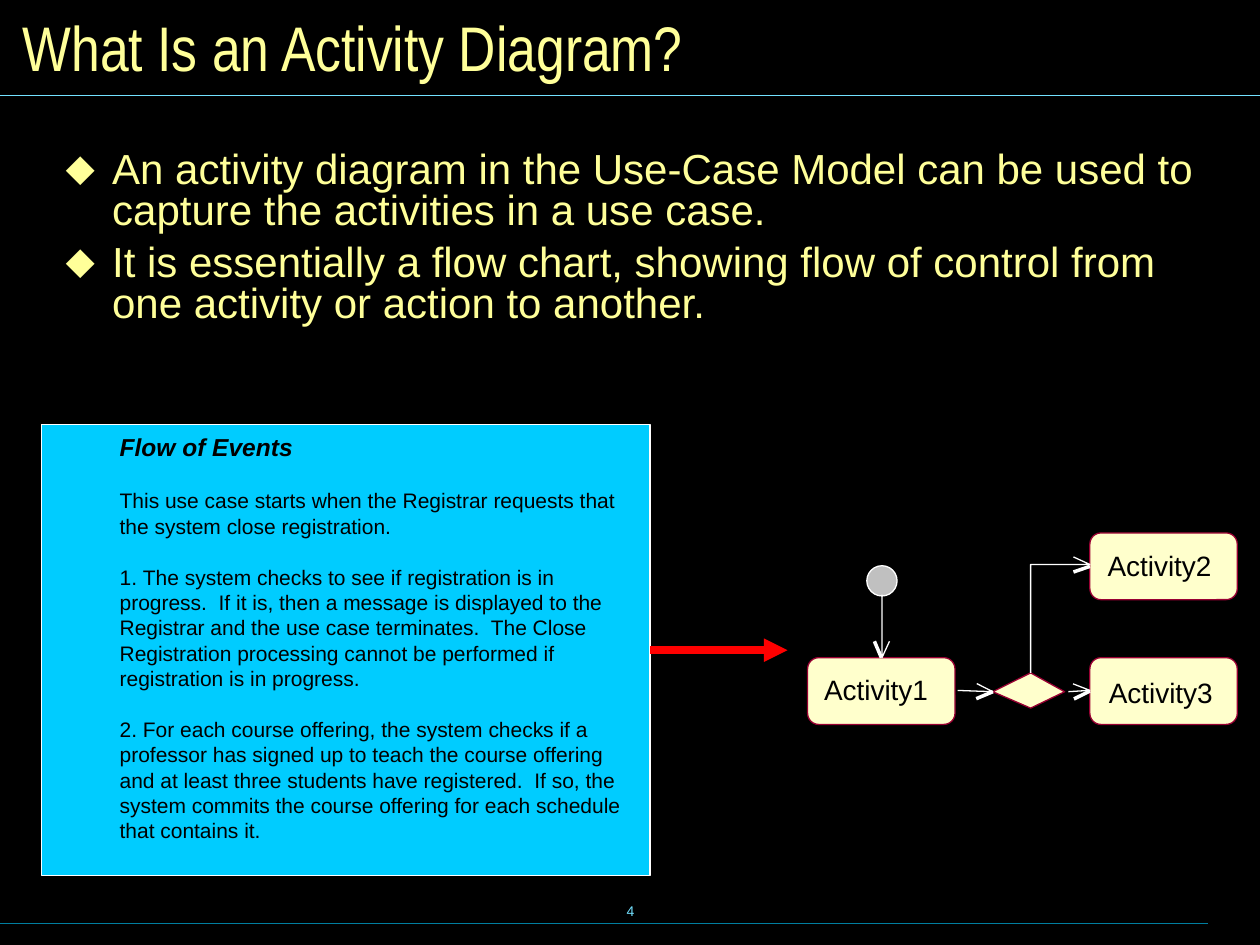
from math import hypot

from lxml import etree
from pptx import Presentation
from pptx.dml.color import RGBColor
from pptx.enum import shapes, text
from pptx.oxml import ns
from pptx.util import Inches, Pt

COLORS = {
    "background": "000000",
    "cream": "FFFF99",
    "rule": "73E1FF",
    "footer_rule": "007E9F",
    "panel": "00CCFF",
    "node": "FFFFCC",
    "node_edge": "990033",
    "start": "C0C0C0",
    "white": "FFFFFF",
    "ink": "000000",
    "red": "FF0000",
}

POINTS = [
    "An activity diagram in the Use-Case Model can be used to capture the activities in a use case.",
    "It is essentially a flow chart, showing flow of control from one activity or action to another.",
]

EVENTS = [
    "This use case starts when the Registrar requests that the system close registration.",
    "1.\u00a0The system checks to see if registration is in progress.  If it is, then a message is "
    "displayed to the Registrar and the use case terminates.  The Close Registration processing "
    "cannot be performed if registration is in progress.",
    "2. For each course offering, the system checks if a professor has signed up to teach the course "
    "offering and at least three students have registered.  If so, the system commits the course "
    "offering for each schedule that contains it.",
]


def color(key):
    return RGBColor.from_string(COLORS[key])


def place(shape, left, top, width, height):
    shape.left, shape.top = Inches(left), Inches(top)
    shape.width, shape.height = Inches(width), Inches(height)


def set_frame(frame, anchor, side=0.12, edge=0.06):
    frame.word_wrap = True
    frame.auto_size = text.MSO_AUTO_SIZE.NONE
    frame.vertical_anchor = anchor
    frame.margin_left = frame.margin_right = Inches(side)
    frame.margin_top = frame.margin_bottom = Inches(edge)


def add_run(paragraph, words, size, ink, font="Arial", **emphasis):
    run = paragraph.add_run()
    run.text = words
    run.font.name = font
    run.font.size = Pt(size)
    run.font.color.rgb = color(ink)
    for trait, value in emphasis.items():
        setattr(run.font, trait, value)


def paragraphs(frame, count):
    return [frame.paragraphs[0]] + [frame.add_paragraph() for _ in range(count - 1)]


def indent(paragraph, margin, first=0):
    properties = paragraph._p.get_or_add_pPr()
    properties.set("marL", str(Inches(margin)))
    properties.set("indent", str(Inches(first)))
    return properties


def add_child(parent, tag, **attributes):
    return etree.SubElement(parent, ns.qn(tag), attributes)


def style(shape, fill, edge, width=0):
    shape.shadow.inherit = False
    if fill:
        shape.fill.solid()
        shape.fill.fore_color.rgb = color(fill)
    else:
        shape.fill.background()
    shape.line.color.rgb = color(edge)
    shape.line.width = Pt(width)


def add_preset(slide, kind, box, fill, edge, width=0):
    shape = slide.shapes.add_shape(kind, *map(Inches, box))
    style(shape, fill, edge, width)
    return shape


def add_outline(slide, points, edge, fill=None, close=False):
    corners = [(Inches(x), Inches(y)) for x, y in points]
    builder = slide.shapes.build_freeform(*corners[0])
    builder.add_line_segments(corners[1:], close=close)
    style(builder.convert_to_shape(), fill, edge)


def add_line(slide, start, end, ink, width):
    line = slide.shapes.add_connector(
        shapes.MSO_CONNECTOR.STRAIGHT, *map(Inches, (*start, *end))
    )
    line.line.color.rgb = color(ink)
    line.line.width = Pt(width)
    add_child(line._element.spPr, "a:effectLst")
    return line


def add_flow(slide, route, target=None, side=None):
    (x0, y0), (x, y) = route[-2:]
    length = hypot(x - x0, y - y0)
    dx, dy = (x - x0) / length, (y - y0) / length
    barbs = [
        (x - 0.13 * dx + turn * dy, y - 0.13 * dy - turn * dx) for turn in (0.06, -0.06)
    ]
    add_outline(slide, route + barbs[:1], "white")
    barb = add_line(slide, (x, y), barbs[1], "white", 0)
    if target is not None:
        barb.begin_connect(target, side)


def add_label(slide, words, left, top):
    label = slide.shapes.add_textbox(*map(Inches, (left, top, 1.08, 0.39)))
    set_frame(label.text_frame, text.MSO_ANCHOR.TOP)
    add_run(label.text_frame.paragraphs[0], words, 16, "ink")


def add_activity(slide, left, top):
    return add_preset(
        slide, shapes.MSO_SHAPE.ROUNDED_RECTANGLE, (left, top, 1.17, 0.53), "node", "node_edge"
    )


def add_title(slide):
    title = slide.shapes.title
    place(title, 0.08, 0.08, 9.84, 0.58)
    set_frame(title.text_frame, text.MSO_ANCHOR.MIDDLE, 0.1, 0.05)
    heading = title.text_frame.paragraphs[0]
    heading.alignment = text.PP_ALIGN.LEFT
    add_run(heading, "What Is an Activity Diagram?", 36, "cream", "Arial Narrow")


def add_points(slide):
    body = slide.placeholders[1]
    place(body, 0.4, 1.15, 9.27, 5.52)
    set_frame(body.text_frame, text.MSO_ANCHOR.TOP)
    for paragraph, words in zip(paragraphs(body.text_frame, len(POINTS)), POINTS):
        paragraph.line_spacing = 0.8
        properties = indent(paragraph, 0.37, -0.37)
        add_child(add_child(properties, "a:spcBef"), "a:spcPct", val="30000")
        add_child(add_child(properties, "a:buClr"), "a:srgbClr", val=COLORS["cream"])
        add_child(properties, "a:buChar", char="⬥")
        add_run(paragraph, words, 24, "cream")


def add_events(slide):
    panel = add_preset(
        slide, shapes.MSO_SHAPE.RECTANGLE, (0.33, 3.37, 4.83, 3.58), "panel", "white", 0.75
    )
    set_frame(panel.text_frame, text.MSO_ANCHOR.TOP)
    heading, *steps = paragraphs(panel.text_frame, len(EVENTS) + 1)
    for paragraph in (heading, *steps):
        paragraph.alignment = text.PP_ALIGN.LEFT
        paragraph.level = 1
        paragraph.space_before, paragraph.space_after = Pt(12), Pt(3)
        indent(paragraph, 0.5)
    add_run(heading, "Flow of Events", 14, "ink", bold=True, italic=True)
    for paragraph, words in zip(steps, EVENTS):
        add_run(paragraph, words, 12, "ink")
    return panel


def add_diagram(slide):
    add_preset(slide, shapes.MSO_SHAPE.OVAL, (6.88, 4.49, 0.24, 0.24), "start", "white")
    first = add_activity(slide, 6.41, 5.22)
    third = add_activity(slide, 8.65, 5.22)
    second = add_activity(slide, 8.65, 4.23)
    decision = [(7.88, 5.49), (8.18, 5.34), (8.45, 5.49), (8.18, 5.62)]
    add_outline(slide, decision, "node_edge", "node", close=True)
    add_flow(slide, [(7, 4.72), (7, 5.22)], first, 0)
    add_flow(slide, [(7.6, 5.48), (7.88, 5.49)])
    add_flow(slide, [(8.48, 5.49), (8.65, 5.48)], third, 1)
    add_flow(slide, [(8.18, 5.34), (8.18, 4.48), (8.65, 4.48)], second, 1)
    add_label(slide, "Activity1", 6.42, 5.28)
    add_label(slide, "Activity3", 8.68, 5.3)
    add_label(slide, "Activity2", 8.67, 4.29)


def add_page_number(slide):
    number = slide.shapes.add_textbox(*map(Inches, (3.42, 6.98, 3.17, 0.5)))
    set_frame(number.text_frame, text.MSO_ANCHOR.MIDDLE, 0.1, 0.05)
    paragraph = number.text_frame.paragraphs[0]
    paragraph.alignment = text.PP_ALIGN.CENTER
    add_run(paragraph, "4", 8, "rule")


def main():
    deck = Presentation()
    deck.slide_width, deck.slide_height = Inches(10), Inches(7.5)
    slide = deck.slides.add_slide(deck.slide_layouts[1])
    slide.background.fill.solid()
    slide.background.fill.fore_color.rgb = color("background")
    add_page_number(slide)
    add_line(slide, (0, 7.33), (9.59, 7.33), "footer_rule", 0.75)
    add_line(slide, (0, 0.76), (10, 0.76), "rule", 0.75)
    add_title(slide)
    add_points(slide)
    panel = add_events(slide)
    add_diagram(slide)
    arrow = add_line(slide, (5.16, 5.16), (6.25, 5.16), "red", 4.5)
    arrow.begin_connect(panel, 3)
    add_child(arrow.line._get_or_add_ln(), "a:tailEnd", type="triangle")
    deck.save("out.pptx")


if __name__ == "__main__":
    main()
